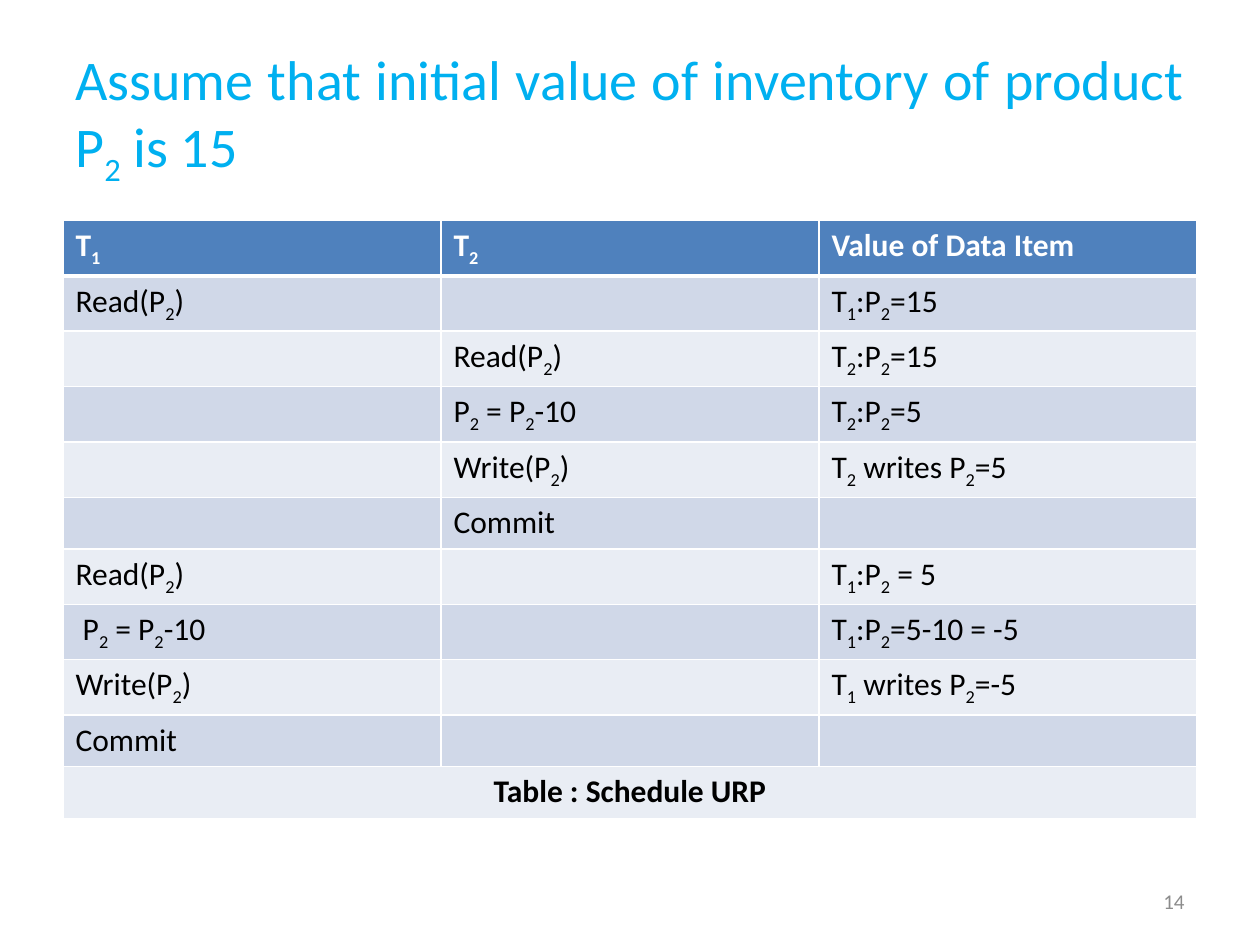
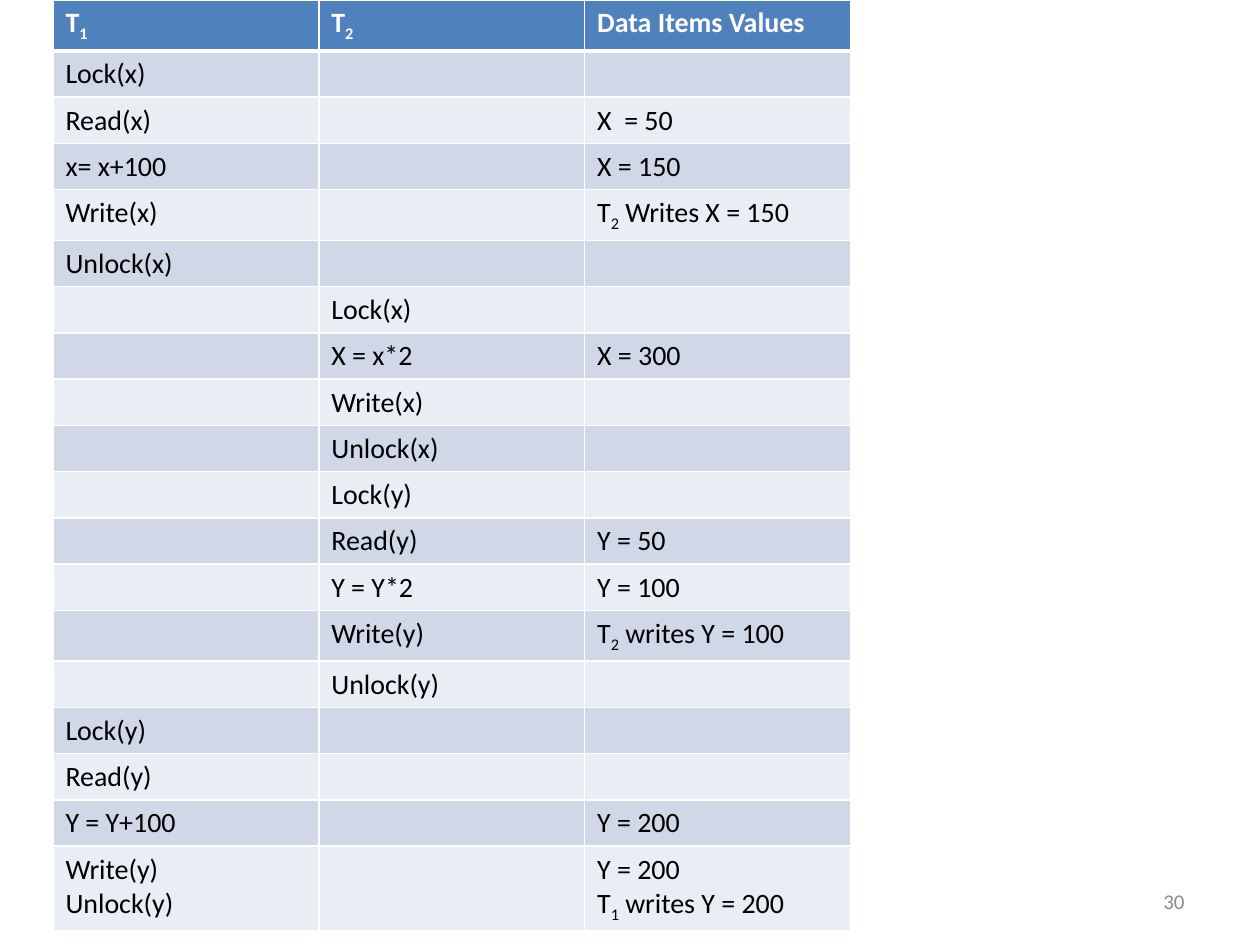
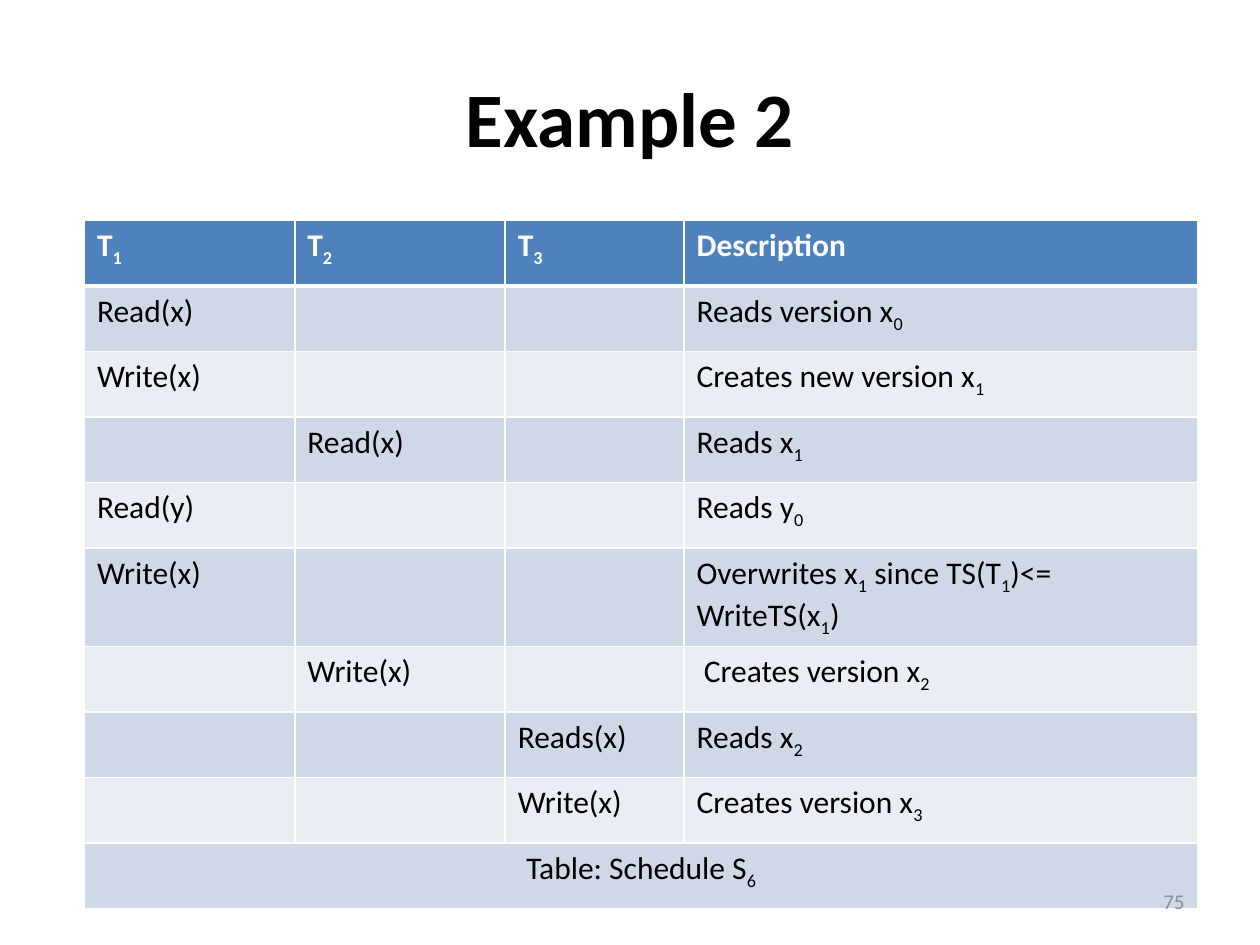
from lxml.etree import SubElement
from pptx import Presentation
from pptx.dml.color import RGBColor
from pptx.enum.text import MSO_ANCHOR, PP_ALIGN
from pptx.oxml.ns import qn
from pptx.util import Inches, Pt

FONT = "Calibri"
WHITE, BLACK, GREY, SKY = "FFFFFF", "000000", "8C8C8C", "00B0F0"
HEAD, BANDS = "4F81BD", ("D0D8E8", "E9EDF4")
TITLE = (0.5, 0.3, 9, 1.25)
FOOT = (7.17, 6.95, 2.33, 0.4)

# An underscore lowers the character after it; "|" parts the cells of a row.
UPDATE = """T_1|T_2|Value of Data Item
Read(P_2)||T_1:P_2=15
|Read(P_2)|T_2:P_2=15
|P_2 = P_2-10|T_2:P_2=5
|Write(P_2)|T_2 writes P_2=5
|Commit|
Read(P_2)||T_1:P_2 = 5
 P_2 = P_2-10||T_1:P_2=5-10 = -5
Write(P_2)||T_1 writes P_2=-5
Commit||"""

LOCKS = """T_1|T_2|Data Items Values
Lock(x)||
Read(x)||X  = 50
x= x+100||X = 150
Write(x)||T_2 Writes X = 150
Unlock(x)||
|Lock(x)|
|X = x*2|X = 300
|Write(x)|
|Unlock(x)|
|Lock(y)|
|Read(y)|Y = 50
|Y = Y*2|Y = 100
|Write(y)|T_2 writes Y = 100
|Unlock(y)|
Lock(y)||
Read(y)||
Y = Y+100||Y = 200
Write(y);Unlock(y)||Y = 200;T_1 writes Y = 200"""

VERSIONS = """T_1|T_2|T_3|Description
Read(x)|||Reads version x_0
Write(x)|||Creates new version x_1
|Read(x)||Reads x_1
Read(y)|||Reads y_0
Write(x)|||Overwrites x_1 since TS(T_1)<= WriteTS(x_1)
|Write(x)|| Creates version x_2
||Reads(x)|Reads x_2
||Write(x)|Creates version x_3"""


def paint(color, value):
    color.rgb = RGBColor.from_string(value)


def write(frame, text, size=18, color=BLACK, bold=False, align=PP_ALIGN.LEFT):
    """Fill a text frame; ";" parts paragraphs."""
    for i, line in enumerate(text.split(";")):
        para = frame.add_paragraph() if i else frame.paragraphs[0]
        para.alignment = align
        first, *rest = line.split("_")
        parts = [(first, False)]
        for piece in rest:
            parts += [(piece[0], True), (piece[1:], False)]
        for part, low in parts:
            if not part:
                continue
            run = para.add_run()
            run.text = part
            font = run.font
            font.name, font.size, font.bold = FONT, Pt(size), bold
            paint(font.color, color)
            if low:
                run._r.get_or_add_rPr().set("baseline", "-25000")
        if not line:
            SubElement(para._p, qn("a:endParaRPr"), sz=str(size * 100))


def label(slide, box, text, **style):
    shape = slide.shapes.add_textbox(*map(Inches, box))
    frame = shape.text_frame
    frame.word_wrap = True
    frame.vertical_anchor = MSO_ANCHOR.MIDDLE
    write(frame, text, **style)


def edge(cell, top, bottom):
    props = cell._tc.get_or_add_tcPr()
    for side, width in zip("LRTB", (1, 1, top, bottom)):
        line = SubElement(props, qn("a:ln" + side), w=str(Pt(width)))
        fill = SubElement(line, qn("a:solidFill"))
        SubElement(fill, qn("a:srgbClr"), val=WHITE)


def schedule(slide, spot, widths, high, text, size=18, note="", strong=False):
    """Draw a banded table, with an optional note across its last row."""
    rows = [line.split("|") for line in text.split("\n")]
    if note:
        rows.append([note] + [""] * (len(widths) - 1))
    box = (*spot, sum(widths), high * len(rows))
    table = slide.shapes.add_table(len(rows), len(widths), *map(Inches, box)).table
    for col, width in zip(table.columns, widths):
        col.width = Inches(width)
    for r, row in enumerate(rows):
        table.rows[r].height = Inches(high)
        last = bool(note) and r == len(rows) - 1
        style = dict(size=size, color=BLACK if r else WHITE,
                     bold=r == 0 or (last and strong),
                     align=PP_ALIGN.CENTER if last else PP_ALIGN.LEFT)
        for c, item in enumerate(row):
            cell = table.cell(r, c)
            edge(cell, 3 if r == 1 else 1, 1 if r else 3)
            cell.fill.solid()
            paint(cell.fill.fore_color, BANDS[(r - 1) % 2] if r else HEAD)
            write(cell.text_frame, item, **style)
        if last:
            table.cell(r, 0).merge(table.cell(r, len(widths) - 1))


def footer(slide, number):
    label(slide, FOOT, number, size=12, color=GREY, align=PP_ALIGN.RIGHT)


def main():
    deck = Presentation()
    deck.slide_width, deck.slide_height = Inches(10), Inches(7.5)
    first, second, third = (deck.slides.add_slide(deck.slide_layouts[6])
                            for _ in range(3))

    schedule(first, (0.5, 1.75), [3] * 3, 0.41, UPDATE,
             note="Table : Schedule URP", strong=True)
    label(first, TITLE, "Assume that initial value of inventory of product P_2 is 15",
          size=32, color=SKY, align=PP_ALIGN.JUSTIFY)
    footer(first, "14")

    schedule(second, (0.42, 0), [2.11] * 3, 0.32, LOCKS, size=16)
    footer(second, "30")

    label(third, TITLE, "Example 2", size=44, bold=True, align=PP_ALIGN.CENTER)
    schedule(third, (0.67, 1.75), [1.67, 1.67, 1.42, 4.08], 0.52, VERSIONS,
             note="Table: Schedule S_6")
    footer(third, "75")

    deck.save("out.pptx")


if __name__ == "__main__":
    main()
